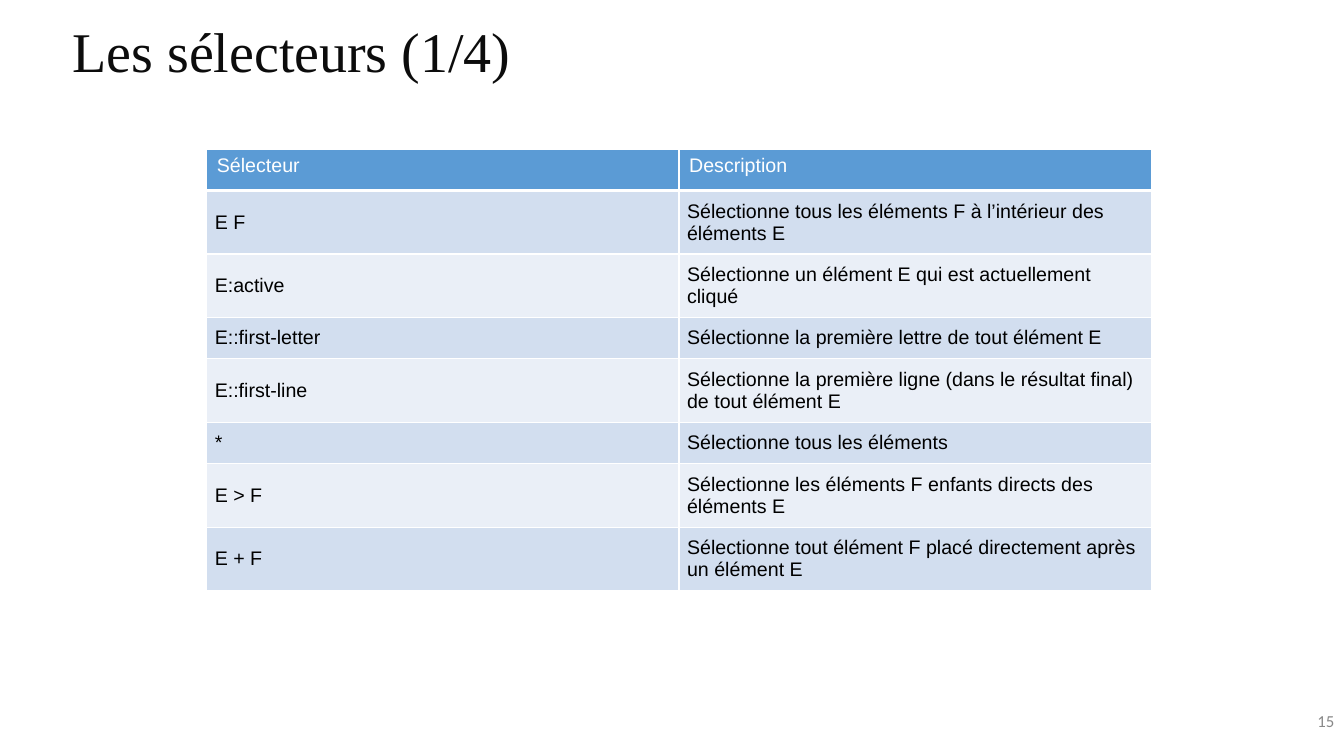
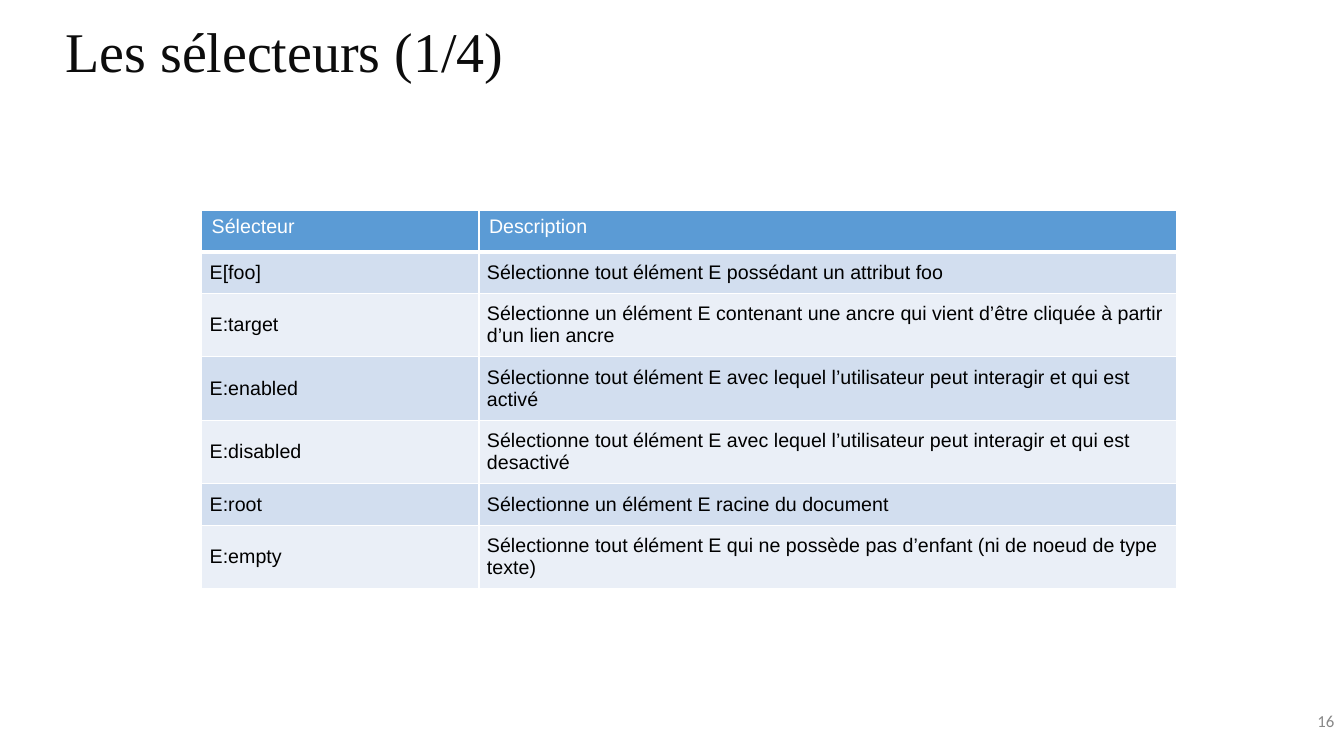
import dataclasses

import lxml.etree
import pptx
import pptx.dml.color
import pptx.enum.text
import pptx.oxml.ns
import pptx.util

COLOURS = {
    "title": "0C0C0C",
    "header": "5B9BD5",
    "band_dark": "D2DEEF",
    "band_light": "EAEFF7",
    "border": "FFFFFF",
    "header_text": "FFFFFF",
    "body_text": "000000",
    "number": "888888",
}
TITLE_FONT, TABLE_FONT, NUMBER_FONT = "Times New Roman", "Arial", "Calibri"

# The slide is a grid of 160 columns by 90 rows of square units
SLIDE_WIDTH = pptx.util.Inches(13.33)
SLIDE_HEIGHT = pptx.util.Inches(7.5)
GRID_UNIT = SLIDE_HEIGHT / 90
ROW_HEIGHTS = {1: 4.92, 2: 7.56}  # by number of text lines
TITLE_TEXT = "Les sélecteurs (1/4)"
HEADINGS = ("Sélecteur", "Description")


@dataclasses.dataclass(frozen=True)
class Selector:
    name: str
    description: str
    lines: int = 2


@dataclasses.dataclass(frozen=True)
class SelectorSlide:
    number: int
    title_left: float
    table_left: float
    table_top: float
    column_widths: tuple[float, float]
    selectors: tuple[Selector, ...]


SLIDES = (
    SelectorSlide(15, 7.44, 24.6, 17.76, (56.22, 56.22), (
        Selector("E F", "Sélectionne tous les éléments F à l’intérieur des éléments E"),
        Selector("E:active", "Sélectionne un élément E qui est actuellement cliqué"),
        Selector("E::first-letter", "Sélectionne la première lettre de tout élément E", 1),
        Selector("E::first-line", "Sélectionne la première ligne (dans le résultat final) de tout élément E"),
        Selector("*", "Sélectionne tous les éléments", 1),
        Selector("E > F", "Sélectionne les éléments F enfants directs des éléments E"),
        Selector("E + F", "Sélectionne tout élément F placé directement après un élément E"),
    )),
    SelectorSlide(16, 6.6, 24, 25.08, (33, 83), (
        Selector("E[foo]", "Sélectionne tout élément E possédant un attribut foo", 1),
        Selector("E:target", "Sélectionne un élément E contenant une ancre qui vient d’être cliquée à partir d’un lien ancre"),
        Selector("E:enabled", "Sélectionne tout élément E avec lequel l’utilisateur peut interagir et qui est activé"),
        Selector("E:disabled", "Sélectionne tout élément E avec lequel l’utilisateur peut interagir et qui est desactivé"),
        Selector("E:root", "Sélectionne un élément E racine du document", 1),
        Selector("E:empty", "Sélectionne tout élément E qui ne possède pas d’enfant (ni de noeud de type texte)"),
    )),
)


def grid(units: float) -> int:
    return round(units * GRID_UNIT)


def colour(name: str) -> pptx.dml.color.RGBColor:
    return pptx.dml.color.RGBColor.from_string(COLOURS[name])


def write(frame, text: str, font_name: str, size: float, colour_name: str,
          alignment=pptx.enum.text.PP_ALIGN.LEFT) -> None:
    frame.text = text
    frame.word_wrap = True
    paragraph = frame.paragraphs[0]
    paragraph.alignment = alignment
    paragraph.font.name = font_name
    paragraph.font.size = pptx.util.Pt(size)
    paragraph.font.bold = False
    paragraph.font.color.rgb = colour(colour_name)


# Title and slide number
def add_title(slide, left: float) -> None:
    title = slide.shapes.title
    title.left, title.top = grid(left), grid(1.32)
    title.width, title.height = grid(84), grid(9.48)
    write(title.text_frame, TITLE_TEXT, TITLE_FONT, 40, "title")
    title.text_frame.auto_size = pptx.enum.text.MSO_AUTO_SIZE.NONE
    title.text_frame.vertical_anchor = pptx.enum.text.MSO_ANCHOR.TOP


def add_number(slide, number: int) -> None:
    box = slide.shapes.add_textbox(grid(132), grid(83.4), grid(28), grid(4.8))
    write(box.text_frame, str(number), NUMBER_FONT, 12, "number",
          pptx.enum.text.PP_ALIGN.RIGHT)
    box.text_frame.vertical_anchor = pptx.enum.text.MSO_ANCHOR.MIDDLE


# Table
def set_borders(cell, bottom: float) -> None:
    properties = cell._tc.get_or_add_tcPr()
    for side, points in (("L", 1), ("R", 1), ("T", 1), ("B", bottom)):
        line = lxml.etree.SubElement(properties, pptx.oxml.ns.qn(f"a:ln{side}"),
                                     w=str(pptx.util.Pt(points)))
        fill = lxml.etree.SubElement(line, pptx.oxml.ns.qn("a:solidFill"))
        lxml.etree.SubElement(fill, pptx.oxml.ns.qn("a:srgbClr"), val=COLOURS["border"])


def format_cell(cell, text: str, row_index: int) -> None:
    is_header = row_index == 0
    write(cell.text_frame, text, TABLE_FONT, 14, "header_text" if is_header else "body_text")
    set_borders(cell, bottom=3 if is_header else 1)
    cell.fill.solid()
    if is_header:
        cell.fill.fore_color.rgb = colour("header")
        return
    cell.fill.fore_color.rgb = colour("band_dark" if row_index % 2 else "band_light")
    cell.vertical_anchor = pptx.enum.text.MSO_ANCHOR.MIDDLE
    inset = pptx.util.Inches(0.08)
    cell.margin_left = cell.margin_right = cell.margin_top = cell.margin_bottom = inset


def add_selector_table(slide, content: SelectorSlide) -> None:
    rows = (Selector(*HEADINGS, lines=1), *content.selectors)
    heights = [ROW_HEIGHTS[row.lines] for row in rows]
    table = slide.shapes.add_table(
        len(rows), len(HEADINGS), grid(content.table_left), grid(content.table_top),
        grid(sum(content.column_widths)), grid(sum(heights))).table
    table.horz_banding = False
    for column, width in zip(table.columns, content.column_widths):
        column.width = grid(width)
    for index, (row, height) in enumerate(zip(rows, heights)):
        table.rows[index].height = grid(height)
        for column_index, text in enumerate((row.name, row.description)):
            format_cell(table.cell(index, column_index), text, index)


def main() -> None:
    presentation = pptx.Presentation()
    presentation.slide_width = SLIDE_WIDTH
    presentation.slide_height = SLIDE_HEIGHT
    title_only = presentation.slide_layouts.get_by_name("Title Only")
    for content in SLIDES:
        slide = presentation.slides.add_slide(title_only)
        add_title(slide, content.title_left)
        add_selector_table(slide, content)
        add_number(slide, content.number)
    presentation.save("out.pptx")


if __name__ == "__main__":
    main()
